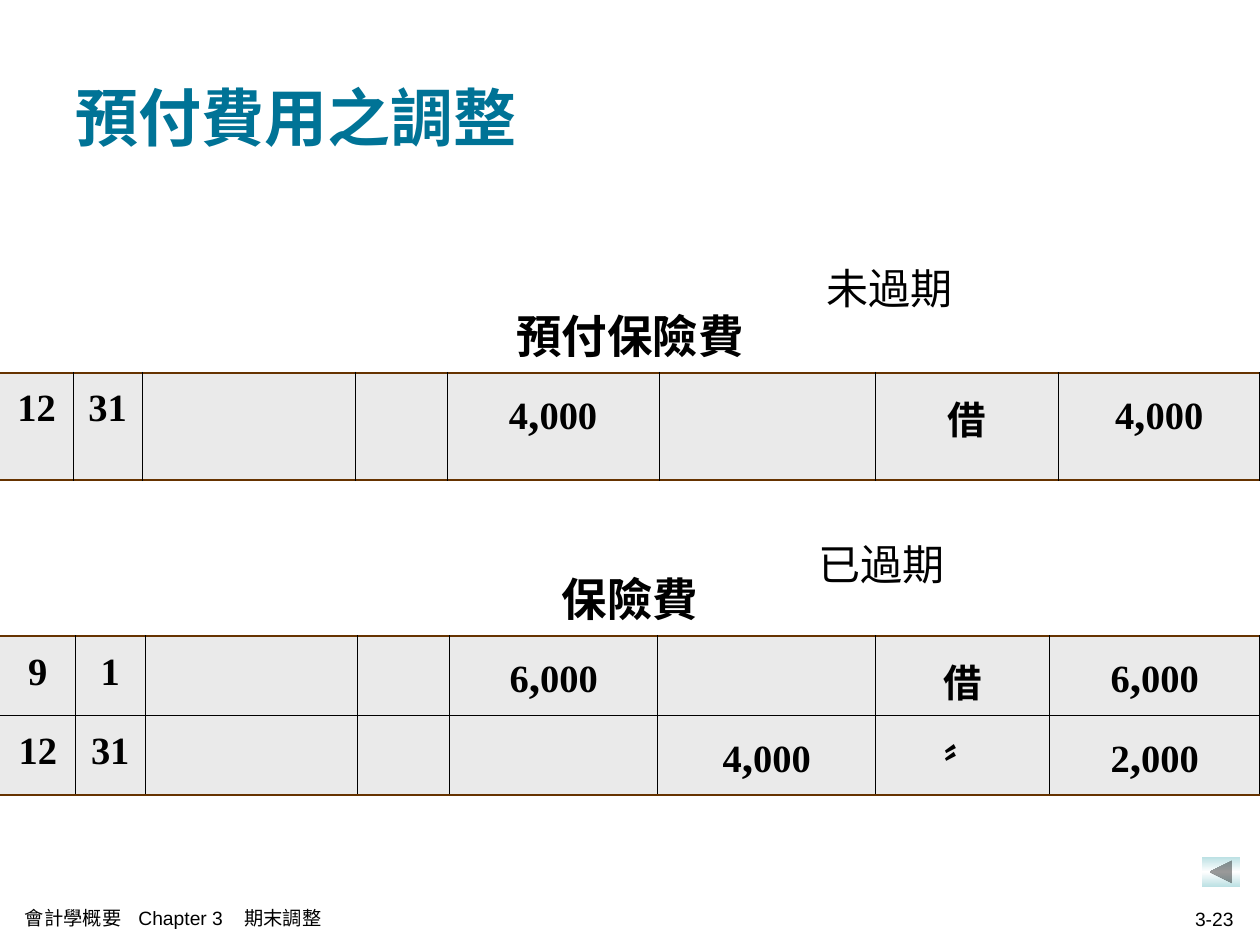
from copy import deepcopy
from dataclasses import dataclass

from lxml import etree
from pptx import Presentation
from pptx.dml.color import RGBColor
from pptx.enum.shapes import MSO_SHAPE
from pptx.enum.text import MSO_ANCHOR, PP_ALIGN
from pptx.oxml.ns import qn
from pptx.util import Inches, Pt

LEFT, CENTER, RIGHT = PP_ALIGN.LEFT, PP_ALIGN.CENTER, PP_ALIGN.RIGHT
MIDDLE = MSO_ANCHOR.MIDDLE
BACK_BUTTON = MSO_SHAPE.ACTION_BUTTON_BACK_OR_PREVIOUS


@dataclass(frozen=True)
class Theme:
    title: str = "007396"
    ink: str = "000000"
    rule: str = "663300"
    cell: str = "EAEAEA"
    button: str = "BBE0E3"
    white: str = "FFFFFF"
    serif: str = "Times New Roman"
    sans: str = "Arial"
    title_size: int = 36
    heading_size: int = 26
    label_size: int = 24
    entry_size: int = 22
    footer_size: int = 11
    thin: float = 0.45
    thick: float = 1.08


theme = Theme()


def add_run(paragraph, text, size, font, color=theme.ink, bold=False):
    run = paragraph.add_run()
    run.text = text
    run.font.name = font
    run.font.size = Pt(size)
    run.font.bold = bold
    run.font.color.rgb = RGBColor.from_string(color)


def set_borders(cell, borders):
    """Draw the left, right, top and bottom edges; None leaves an edge bare."""
    properties = cell._tc.get_or_add_tcPr()
    for index, (side, border) in enumerate(zip("LRTB", borders)):
        line = etree.Element(qn(f"a:ln{side}"))
        if border:
            color, width = border
            line.set("w", str(Pt(width)))
            fill = etree.SubElement(line, qn("a:solidFill"))
            etree.SubElement(fill, qn("a:srgbClr"), val=color)
        else:
            etree.SubElement(line, qn("a:noFill"))
        properties.insert(index, line)


presentation = Presentation()
presentation.slide_width = Inches(10)
presentation.slide_height = Inches(7.5)
slide = presentation.slides.add_slide(presentation.slide_layouts[6])

# Ledger accounts
thin_black = (theme.ink, theme.thin)
thick_black = (theme.ink, theme.thick)
thick_brown = (theme.rule, theme.thick)
ledgers = [
    ("保險費", 4.32, [0.6, 0.55, 1.69, 0.73, 1.65, 1.73, 1.38, 1.67], [0.62, 0.62, 0.62],
     [["9", "1", "", "", "6,000", "", "借", "6,000"],
      ["12", "31", "", "", "", "4,000", "〞", "2,000"]]),
    ("預付保險費", 2.23, [0.58, 0.55, 1.69, 0.73, 1.68, 1.72, 1.45, 1.6], [0.64, 0.85],
     [["12", "31", "", "", "4,000", "", "借", "4,000"]]),
]
for heading, top, widths, heights, entries in ledgers:
    frame = slide.shapes.add_table(len(heights), len(widths), Inches(0), Inches(top),
                                   Inches(10), Inches(sum(heights)))
    table = frame.table
    table.first_row = table.horz_banding = False
    for column, width in zip(table.columns, widths):
        column.width = Inches(width)
    for row, height in zip(table.rows, heights):
        row.height = Inches(height)

    # Heading across all columns
    for cell in table.rows[0].cells:
        cell.fill.background()
        set_borders(cell, [None, None, None, thick_brown])
    title_cell = table.cell(0, 0)
    title_cell.merge(table.cell(0, len(widths) - 1))
    paragraph = title_cell.text_frame.paragraphs[0]
    paragraph.alignment = CENTER
    paragraph.line_spacing = 1.2
    add_run(paragraph, heading, theme.heading_size, theme.serif, bold=True)

    # Entries, with a larger thousands comma
    for row_index, entry in enumerate(entries, start=1):
        for column_index, value in enumerate(entry):
            cell = table.cell(row_index, column_index)
            cell.fill.solid()
            cell.fill.fore_color.rgb = RGBColor.from_string(theme.cell)
            set_borders(cell, [
                thin_black if column_index > 0 else None,
                thick_black if column_index == len(entry) - 1 else thin_black,
                thick_brown if row_index == 1 else thin_black,
                thick_brown if row_index == len(entries) else thin_black,
            ])
            paragraph = cell.text_frame.paragraphs[0]
            paragraph.alignment = CENTER
            paragraph.line_spacing = 1.2
            whole, comma, thousands = value.partition(",")
            for text, size in ((whole, theme.entry_size), (comma, theme.heading_size),
                               (thousands, theme.entry_size)):
                if text:
                    add_run(paragraph, text, size, theme.serif, bold=True)

# Title, labels and footer
texts = [
    ("預付費用之調整", 0.5, 0.3, 9, 1.25, LEFT, theme.title_size, theme.serif, theme.title, True),
    ("未過期", 6.36, 1.99, 1.4, 0.59, CENTER, theme.label_size, theme.sans, theme.ink, False),
    ("已過期", 6.3, 4.18, 1.4, 0.59, CENTER, theme.label_size, theme.sans, theme.ink, False),
    ("會計學概要\tChapter 3\t期末調整", 0.1, 7.12, 5.1, 0.33, LEFT,
     theme.footer_size, theme.sans, theme.ink, False),
    ("3-23", 7.56, 7.13, 2.33, 0.33, RIGHT, theme.footer_size, theme.sans, theme.ink, False),
]
for text, left, top, width, height, alignment, size, font, color, bold in texts:
    box = slide.shapes.add_textbox(Inches(left), Inches(top), Inches(width), Inches(height))
    box.text_frame.word_wrap = True
    box.text_frame.vertical_anchor = MIDDLE
    paragraph = box.text_frame.paragraphs[0]
    paragraph.alignment = alignment
    if "\t" in text:
        tabs = etree.SubElement(paragraph._p.get_or_add_pPr(), qn("a:tabLst"))
        for position in (0.9, 1.74):
            etree.SubElement(tabs, qn("a:tab"), pos=str(Inches(position)), algn="l")
    add_run(paragraph, text, size, font, color, bold)

# Back button
button = slide.shapes.add_shape(BACK_BUTTON, Inches(9.54), Inches(6.8), Inches(0.3), Inches(0.24))
button.shadow.inherit = False
button.line.fill.background()
button.fill.gradient()
button.fill.gradient_angle = 90
stop_list = button.fill._fill._gradFill.find(qn("a:gsLst"))
stop_list.append(deepcopy(stop_list[0]))
stop_colors = (theme.button, theme.white, theme.button)
for stop, position, color in zip(button.fill.gradient_stops, (0, 0.5, 1), stop_colors):
    stop.position = position
    stop.color.rgb = RGBColor.from_string(color)

presentation.save("out.pptx")
